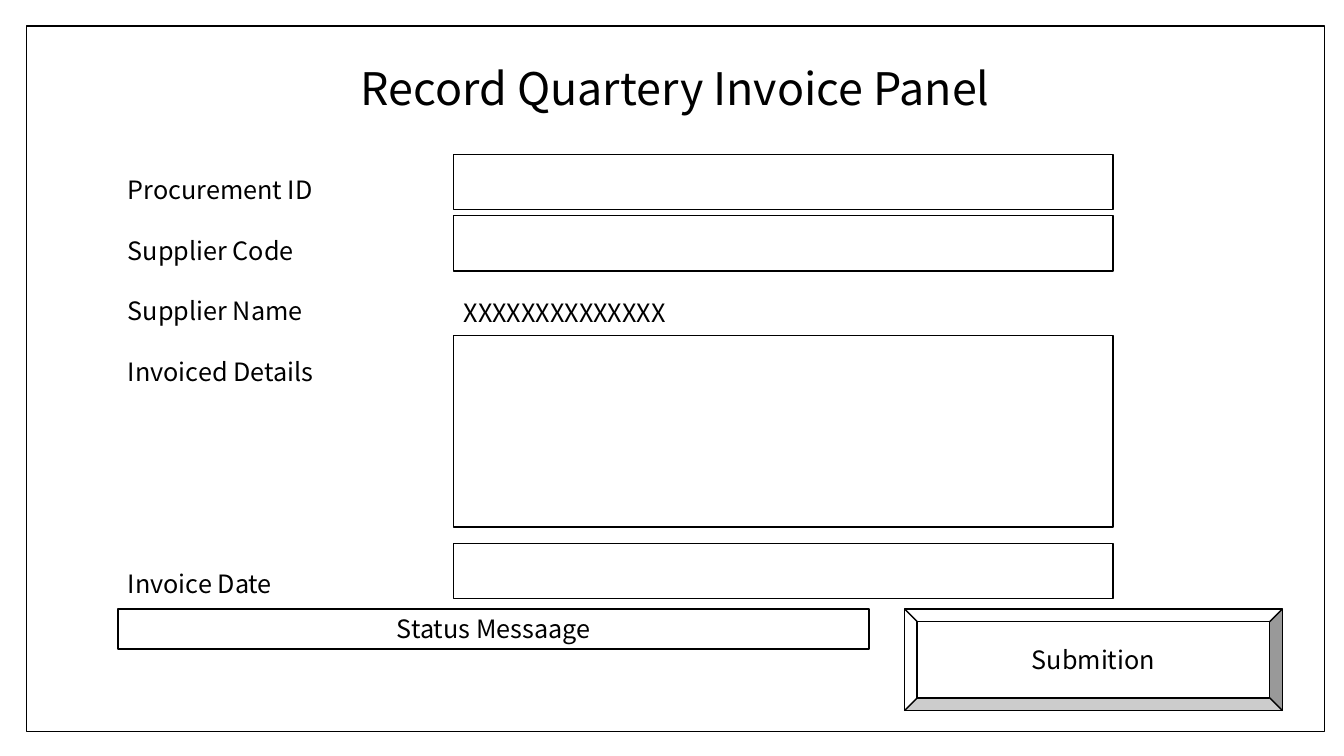
from dataclasses import dataclass

from pptx import Presentation
from pptx.dml.color import RGBColor
from pptx.enum.shapes import MSO_SHAPE
from pptx.enum.text import MSO_ANCHOR, PP_ALIGN
from pptx.util import Inches, Pt

RECT, BEVEL = MSO_SHAPE.RECTANGLE, MSO_SHAPE.BEVEL
LEFT, CENTER = PP_ALIGN.LEFT, PP_ALIGN.CENTER
TOP, MIDDLE = MSO_ANCHOR.TOP, MSO_ANCHOR.MIDDLE


@dataclass(frozen=True)
class Theme:
    font: str = "Noto Sans CJK JP"
    ink: RGBColor = RGBColor(0, 0, 0)
    paper: RGBColor = RGBColor(255, 255, 255)
    title: float = 32
    body: float = 18
    line: float = 1
    row_gap: float = 21.7


@dataclass(frozen=True)
class Box:
    left: float
    top: float
    width: float
    height: float


@dataclass(frozen=True)
class Label:
    text: str
    blank_rows: int


THEME = Theme()
FIELD_LEFT, FIELD_WIDTH, FIELD_HEIGHT = 4.5, 6.54, 0.55
FORM_LEFT, FOOTER_TOP = 1.17, 6.04

PANEL = Box(0.26, 0.26, 12.88, 7)
TITLE = Box(3.13, 0.55, 7.14, 0.64)
LABEL_COLUMN = Box(FORM_LEFT, 1.68, 3.32, 4.64)
SUPPLIER_NAME = Box(FIELD_LEFT, 2.9, FIELD_WIDTH, 0.4)
STATUS = Box(FORM_LEFT, FOOTER_TOP, 7.45, 0.4)
SUBMIT = Box(8.97, FOOTER_TOP, 3.75, 1.01)
FIELDS = [
    Box(FIELD_LEFT, top, FIELD_WIDTH, height)
    for top, height in (
        (1.53, FIELD_HEIGHT),
        (2.14, FIELD_HEIGHT),
        (3.33, 1.9),
        (5.39, FIELD_HEIGHT),
    )
]
LABELS = [
    Label("Procurement ID", 0),
    Label("Supplier Code", 1),
    Label("Supplier Name", 1),
    Label("Invoiced Details", 1),
    Label("Invoice Date", 6),
]


def place(box: Box) -> tuple:
    return tuple(Inches(v) for v in (box.left, box.top, box.width, box.height))


def write(sp, labels: list[Label], size: float, align=LEFT, anchor=TOP) -> None:
    tf = sp.text_frame
    tf.word_wrap = True
    tf.vertical_anchor = anchor
    for i, label in enumerate(labels):
        p = tf.add_paragraph() if i else tf.paragraphs[0]
        p.alignment = align
        p.space_before = Pt(label.blank_rows * THEME.row_gap)
        r = p.add_run()
        r.text = label.text
        r.font.name = THEME.font
        r.font.size = Pt(size)
        r.font.color.rgb = THEME.ink


def add_box(s, box: Box, kind=RECT):
    sp = s.shapes.add_shape(kind, *place(box))
    sp.shadow.inherit = False
    sp.fill.solid()
    sp.fill.fore_color.rgb = THEME.paper
    sp.line.color.rgb = THEME.ink
    sp.line.width = Pt(THEME.line)
    return sp


def add_text(s, box: Box, labels: list[Label], size: float, align=LEFT) -> None:
    write(s.shapes.add_textbox(*place(box)), labels, size, align)


prs = Presentation()
prs.slide_width, prs.slide_height = Inches(13.33), Inches(7.5)
s = prs.slides.add_slide(prs.slide_layouts[6])

add_box(s, PANEL)
add_text(s, TITLE, [Label("Record Quartery Invoice Panel", 0)], THEME.title, CENTER)
add_text(s, LABEL_COLUMN, LABELS, THEME.body)
for field in FIELDS:
    add_box(s, field)
add_text(s, SUPPLIER_NAME, [Label("XXXXXXXXXXXXXX", 0)], THEME.body)
write(add_box(s, STATUS), [Label("Status Messaage", 0)], THEME.body, CENTER)
write(add_box(s, SUBMIT, BEVEL), [Label("Submition", 0)], THEME.body, CENTER, MIDDLE)

prs.save("out.pptx")
